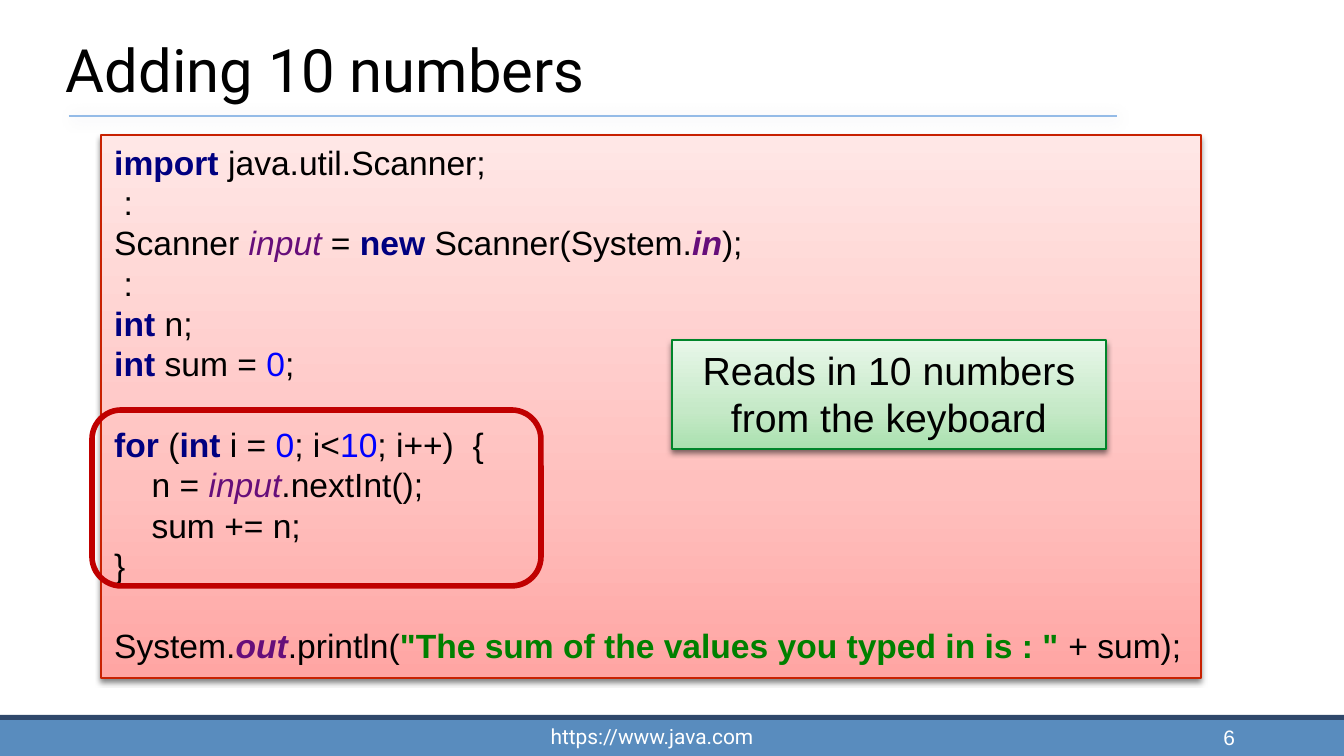
from lxml import etree
from pptx import Presentation
from pptx.dml.color import RGBColor
from pptx.enum.shapes import MSO_CONNECTOR, MSO_SHAPE
from pptx.enum.text import MSO_ANCHOR, PP_ALIGN
from pptx.oxml import parse_xml
from pptx.oxml.ns import nsdecls, qn
from pptx.util import Emu, Pt

RECTANGLE = MSO_SHAPE.RECTANGLE
ROUNDED = MSO_SHAPE.ROUNDED_RECTANGLE
STRAIGHT = MSO_CONNECTOR.STRAIGHT
TOP, BOTTOM = MSO_ANCHOR.TOP, MSO_ANCHOR.BOTTOM
LEFT, CENTER, RIGHT = PP_ALIGN.LEFT, PP_ALIGN.CENTER, PP_ALIGN.RIGHT

EMU_PER_PX = 914400 / 134.4
CODE_PITCH = 21.6  # points from one code line to the next

COLORS = {
    "text": "000000", "white": "FFFFFF",
    "footer": "598CBE", "footer_edge": "2F486B",
    "rule": "94BBE7", "rule_shadow": "003D62",
    "code_line": "C82101", "note_line": "00852A", "highlight": "C00000",
    "keyword": "000080", "variable": "660E7A", "number": "0000FF", "string": "008000",
}
CODE_GRADIENT = ((0, "FFA5A3"), (35, "FFC0BE"), (100, "FFE7E6"))
NOTE_GRADIENT = ((0, "AAE1AF"), (35, "C5E9C7"), (100, "E8F7E9"))

# style: (colour name, bold, italic)
STYLES = {
    "plain": ("text", False, False),
    "key": ("keyword", True, False),
    "var": ("variable", False, True),
    "field": ("variable", True, True),
    "num": ("number", False, False),
    "str": ("string", True, False),
}
# Each block is a list of lines, each line a list of (style, text)
CODE_BLOCKS = [
    [
        [("key", "import "), ("plain", "java.util.Scanner;")],
        [("plain", " :")],
        [("plain", "Scanner "), ("var", "input "), ("plain", "= "), ("key", "new "),
         ("plain", "Scanner(System."), ("field", "in"), ("plain", ");")],
        [("plain", " :")],
        [("key", "int "), ("plain", "n;")],
        [("key", "int "), ("plain", "sum = "), ("num", "0"), ("plain", ";")],
    ],
    [
        [("key", "for "), ("plain", "("), ("key", "int "), ("plain", "i = "), ("num", "0"),
         ("plain", "; i<"), ("num", "10"), ("plain", "; i++)  {")],
        [("plain", "    n = "), ("var", "input"), ("plain", ".nextInt();")],
        [("plain", "    sum += n;")],
        [("plain", "}")],
    ],
    [
        [("plain", "System."), ("field", "out"), ("plain", ".println("),
         ("str", "\"The sum of the values you typed in is : \" "), ("plain", "+ sum);")],
    ],
]


def px(length):
    return Emu(round(length * EMU_PER_PX))


def rgb(name):
    return RGBColor.from_string(COLORS[name])


def add_box(slide, box, kind=RECTANGLE, fill=None, line=None, width=0.75):
    shape = slide.shapes.add_shape(kind, *map(px, box))
    shape.shadow.inherit = False
    if fill:
        shape.fill.solid()
        shape.fill.fore_color.rgb = rgb(fill)
    else:
        shape.fill.background()
    if line:
        shape.line.color.rgb = rgb(line)
        shape.line.width = Pt(width)
    else:
        shape.line.fill.background()
    return shape


def add_shadow(effects, color, alpha, blur, distance, angle):
    shadow = etree.SubElement(
        effects, qn("a:outerShdw"), blurRad=str(Pt(blur)), dist=str(Pt(distance)),
        dir=str(angle * 60000), algn="ctr", rotWithShape="0")
    tint = etree.SubElement(shadow, qn("a:srgbClr"), val=color)
    etree.SubElement(tint, qn("a:alpha"), val=str(alpha * 1000))


def add_panel(slide, box, gradient, line):
    """Gradient rectangle, darker at the bottom, with a soft drop shadow."""
    shape = add_box(slide, box, line=line)
    stops = "".join(
        f'<a:gs pos="{position * 1000}"><a:srgbClr val="{color}"/></a:gs>'
        for position, color in gradient)
    fill = parse_xml(
        f'<a:gradFill {nsdecls("a")} rotWithShape="1"><a:gsLst>{stops}</a:gsLst>'
        '<a:lin ang="16200000" scaled="0"/></a:gradFill>')
    properties = shape.element.spPr
    properties.replace(properties.find(qn("a:noFill")), fill)
    add_shadow(properties.find(qn("a:effectLst")), COLORS["text"], 50, 3, 2, 90)
    frame = shape.text_frame
    frame.word_wrap = True
    frame.vertical_anchor = TOP
    return frame


def add_label(slide, box, text, size, font, color, align, insets):
    text_box = slide.shapes.add_textbox(*map(px, box))
    frame = text_box.text_frame
    frame.word_wrap = True
    frame.vertical_anchor = BOTTOM
    frame.margin_left = frame.margin_right = px(insets[0])
    frame.margin_top = frame.margin_bottom = px(insets[1])
    frame.text = text
    paragraph = frame.paragraphs[0]
    paragraph.alignment = align
    paragraph.font.size = Pt(size)
    paragraph.font.name = font
    paragraph.font.color.rgb = rgb(color)


def add_title(slide, box):
    left, top, width, height = box
    add_label(slide, box, "Adding 10 numbers", 32, "Roboto", "text", LEFT, (8, 8))
    # Rule under the title
    y = px(top + height + 4)
    rule = slide.shapes.add_connector(STRAIGHT, px(left + 11), y, px(left + 1059), y)
    rule.line.color.rgb = rgb("rule")
    rule.line.width = Pt(1)
    effects = etree.SubElement(rule.element.spPr, qn("a:effectLst"))
    add_shadow(effects, COLORS["rule_shadow"], 20, 8, 1, 45)


def add_code(slide, box):
    left, top, width, height = box
    frame = add_panel(slide, box, CODE_GRADIENT, "code_line")
    paragraph = None
    for block in CODE_BLOCKS:
        for index, line in enumerate(block):
            starts_block = paragraph is not None and index == 0
            paragraph = frame.add_paragraph() if paragraph is not None else frame.paragraphs[0]
            paragraph.alignment = LEFT
            paragraph.line_spacing = Pt(CODE_PITCH)
            paragraph.space_before = Pt(CODE_PITCH if starts_block else 0)
            for style, text in line:
                color, bold, italic = STYLES[style]
                run = paragraph.add_run()
                run.text = text
                run.font.name = "Arial"
                run.font.size = Pt(18)
                run.font.bold = bold
                run.font.italic = italic
                run.font.color.rgb = rgb(color)
    # Note beside the loop
    note = add_panel(slide, (left + 571, top + 205, 434, 109), NOTE_GRADIENT, "note_line")
    note.text = "Reads in 10 numbers from the keyboard"
    paragraph = note.paragraphs[0]
    paragraph.alignment = CENTER
    paragraph.line_spacing = Pt(25.2)
    paragraph.font.name = "Arial"
    paragraph.font.size = Pt(21)
    paragraph.font.color.rgb = rgb("text")
    # Frame around the loop
    add_box(slide, (left - 9, top + 275, 449, 176), ROUNDED, line="highlight", width=3)


def add_footer(slide, box):
    left, top, width, height = box
    add_box(slide, (left, top + 5, width, height - 5), fill="footer")
    add_box(slide, (left, top, width, 5), fill="footer_edge")
    add_label(slide, (left + 473, top + 4, 358, 35), "https://www.java.com",
              11.2, "Roboto", "white", CENTER, (11, 5))
    add_label(slide, (left + 964, top + 1, 279, 42), "6",
              11.2, "Arial", "white", RIGHT, (8, 8))


def main():
    presentation = Presentation()
    presentation.slide_width, presentation.slide_height = px(1344), px(756)
    slide = presentation.slides.add_slide(presentation.slide_layouts[6])
    add_footer(slide, (0, 715, 1344, 41))
    add_title(slide, (58, 0, 1142, 112))
    add_code(slide, (101, 135, 1100, 543))
    presentation.save("out.pptx")


if __name__ == "__main__":
    main()
